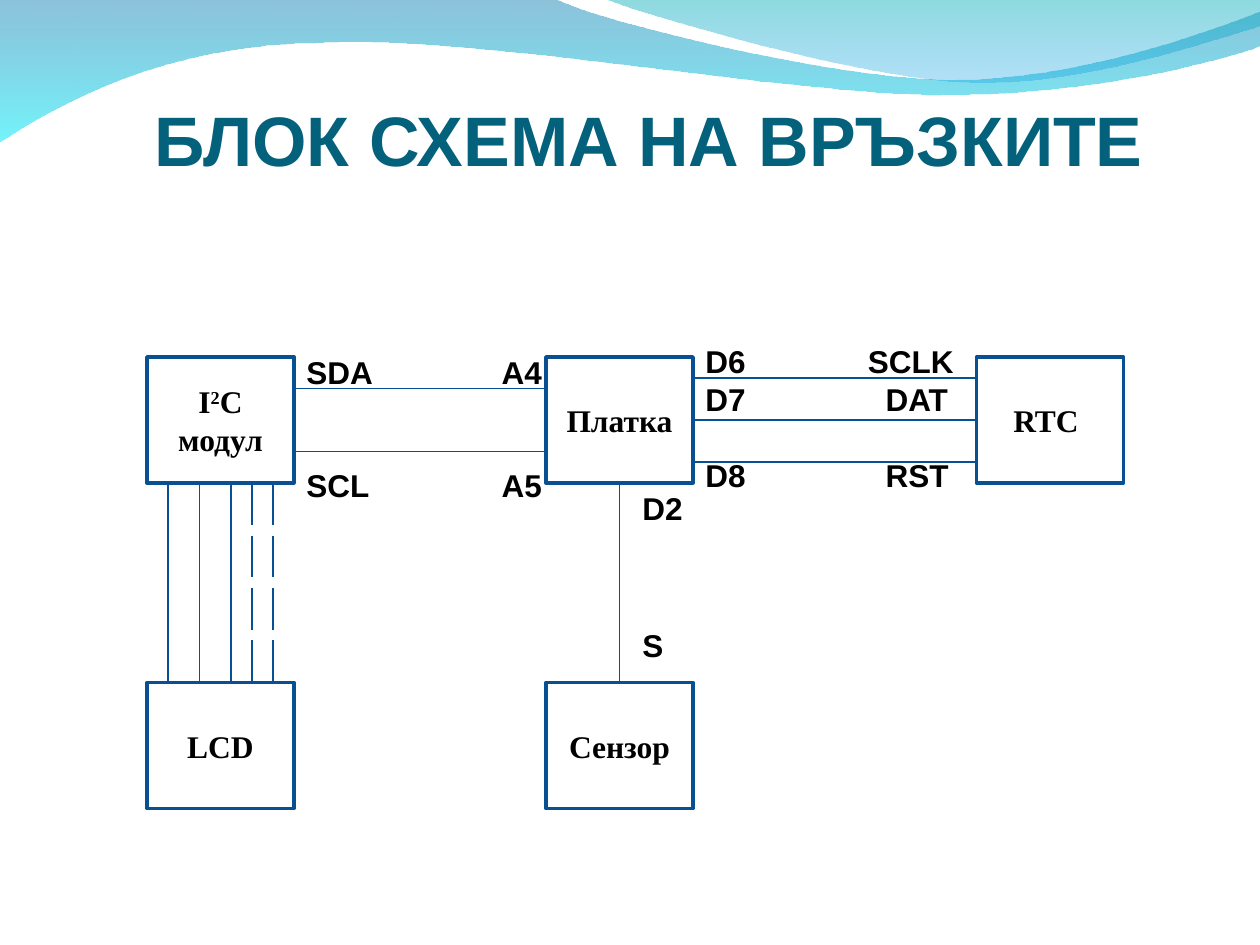
from lxml import etree
from pptx import Presentation
from pptx import util as u
from pptx.dml.color import RGBColor
from pptx.enum import shapes, text
from pptx.oxml.ns import qn

TITLE_TEAL = RGBColor(0x04, 0x61, 0x7B)
BORDER_BLUE = RGBColor(0x08, 0x50, 0x91)
WIRE_BLUE = RGBColor(0x06, 0x50, 0x93)
BLACK = RGBColor(0, 0, 0)
WAVE_BLUE = RGBColor(0x00, 0x79, 0xAF)
WAVE_CYAN = RGBColor(0x00, 0xEB, 0xF8)
WAVE_GREEN = RGBColor(0x00, 0xAD, 0xB6)
WAVE_SKY = RGBColor(0x00, 0x9B, 0xE5)
GRID = u.Inches(1) / 12


def write(holder, lines, font="Arial", size=18, color=BLACK, align=text.PP_ALIGN.LEFT,
          anchor=text.MSO_ANCHOR.TOP, margins=(0.1, 0.05, 0.1, 0.05),
          spacing=21.6, gaps=(0, 0, 0), tabs=()):
    frame = holder.text_frame
    frame.word_wrap = True
    frame.vertical_anchor = anchor
    frame.margin_left, frame.margin_top, frame.margin_right, frame.margin_bottom = map(u.Inches, margins)
    for number, line in enumerate(lines):
        paragraph = frame.add_paragraph() if number else frame.paragraphs[0]
        paragraph.alignment = align
        if spacing:
            paragraph.line_spacing = u.Pt(spacing)
        if gaps[number]:
            paragraph.space_before = u.Pt(gaps[number])
        if tabs:
            stops = etree.SubElement(paragraph._p.get_or_add_pPr(), qn("a:tabLst"))
            etree.SubElement(stops, qn("a:tab"), pos=str(u.Inches(tabs[number])), algn="l")
        for position, piece in enumerate(line.split("^")):
            run = paragraph.add_run()
            run.text = piece
            run.font.name, run.font.size, run.font.bold = font, u.Pt(size), True
            run.font.color.rgb = color
            if position % 2:
                run._r.get_or_add_rPr().set("baseline", "30000")


def wire(*ends):
    line = slide.shapes.add_connector(shapes.MSO_CONNECTOR.STRAIGHT, *(round(end * GRID) for end in ends))
    line.line.color.rgb = WIRE_BLUE
    line.line.width = u.Pt(0.75)
    etree.SubElement(line._element.spPr, qn("a:effectLst"))
    return line


deck = Presentation()
deck.slide_width, deck.slide_height = u.Inches(10), u.Inches(7.5)
slide = deck.slides.add_slide(deck.slide_layouts[6])

waves = [
    ([(0, -0.01), (4.4, -0.01), (4.76, 0.17, 6.64, 0.63, 7.58, 0.63), (8.53, 0.63, 9.58, 0.26, 10, 0.09),
      (10.01, 0.36), (9.83, 0.44, 8.7, 0.76, 7.46, 0.75), (6.22, 0.75, 3.82, 0.28, 2.57, 0.34),
      (1.29, 0.35, 0.46, 0.83, -0.01, 1.13)], [(WAVE_BLUE, 45), (WAVE_CYAN, 55)]),
    ([(4.79, -0.01), (5.09, 0.11, 6.82, 0.62, 7.69, 0.65), (8.56, 0.69, 9.61, 0.32, 10, 0.21),
      (10, 0)], [(WAVE_GREEN, 45), (WAVE_SKY, 30)]),
]
for outline, shades in waves:
    corners = [tuple(map(u.Inches, step[-2:])) for step in outline]
    builder = slide.shapes.build_freeform(*corners[0])
    builder.add_line_segments(corners[1:], close=True)
    wave = builder.convert_to_shape()
    wave.shadow.inherit = False
    wave.line.fill.background()
    segments = list(wave._element.spPr.iter(qn("a:lnTo")))
    for segment, step in zip(segments, outline[1:]):
        if len(step) == 6:
            segment.clear()
            segment.tag = qn("a:cubicBezTo")
            for x, y in zip(step[::2], step[1::2]):
                etree.SubElement(segment, qn("a:pt"), x=str(u.Inches(x) - wave.left),
                                 y=str(u.Inches(y) - wave.top))
    wave.fill.gradient()
    wave.fill.gradient_angle = 270
    for stop, (shade, opacity) in zip(wave.fill.gradient_stops, shades):
        stop.color.rgb = shade
    for tint, (shade, opacity) in zip(wave._element.spPr.iter(qn("a:srgbClr")), shades):
        etree.SubElement(tint, qn("a:alpha"), val=str(opacity * 1000))

title = slide.shapes.add_textbox(u.Inches(1.23), u.Inches(0.6), u.Inches(7.92), u.Inches(0.83))
write(title, ["БЛОК СХЕМА НА ВРЪЗКИТЕ"], size=40, color=TITLE_TEAL,
      anchor=text.MSO_ANCHOR.BOTTOM, margins=(0, 0.05, 0, 0), spacing=None)

left, middle, right = 14, 52, 93
upper, lower = 34, 65
block_width, block_height = 14, 12
blocks = {}
for name, x, y in [("Платка", middle, upper), ("RTC ", right, upper), ("I^2^C модул", left, upper),
                   ("LCD", left, lower), ("Сензор", middle, lower)]:
    block = slide.shapes.add_shape(shapes.MSO_SHAPE.RECTANGLE,
                                   *(round(n * GRID) for n in (x, y, block_width, block_height)))
    block.shadow.inherit = False
    block.fill.background()
    block.line.color.rgb = BORDER_BLUE
    block.line.width = u.Pt(2)
    write(block, [name], font="Times New Roman", align=text.PP_ALIGN.CENTER, anchor=text.MSO_ANCHOR.MIDDLE)
    blocks[name] = block

pins = [
    (28, 33, 2.67, 1.3, ["SDA\tA4", "SCL\tA5"], (0, 43.2), (1.55, 1.55)),
    (60, 46, 0.75, 0.4, ["D2"], (0,), ()),
    (66, 32, 2.25, 1.3, ["D6\tSCLK", "D7\tDAT", "D8\tRST"], (0, 0, 21.6), (1.29, 1.43, 1.43)),
    (60, 59, 0.36, 0.4, ["S"], (0,), ()),
]
for x, y, width, height, lines, gaps, tabs in pins:
    label = slide.shapes.add_textbox(round(x * GRID), round(y * GRID), u.Inches(width), u.Inches(height))
    write(label, lines, gaps=gaps, tabs=tabs)

left_edge, middle_edge = left + block_width, middle + block_width
upper_edge = upper + block_height
for y in (37, 43):
    wire(left_edge, y, middle, y)
for x in (16, 19, 22):
    wire(x, upper_edge, x, lower)
for x in (24, 26):
    for start in range(upper_edge, lower, 5):
        wire(x, start, x, start + 4)
for y in (36, 44):
    wire(middle_edge, y, right, y)

clock_data = wire(middle_edge, 40, right, 40)
clock_data.begin_connect(blocks["Платка"], 3)
clock_data.end_connect(blocks["RTC "], 1)
sensor_signal = wire(59, upper_edge, 59, lower)
sensor_signal.begin_connect(blocks["Платка"], 2)
sensor_signal.end_connect(blocks["Сензор"], 0)

deck.save("out.pptx")
